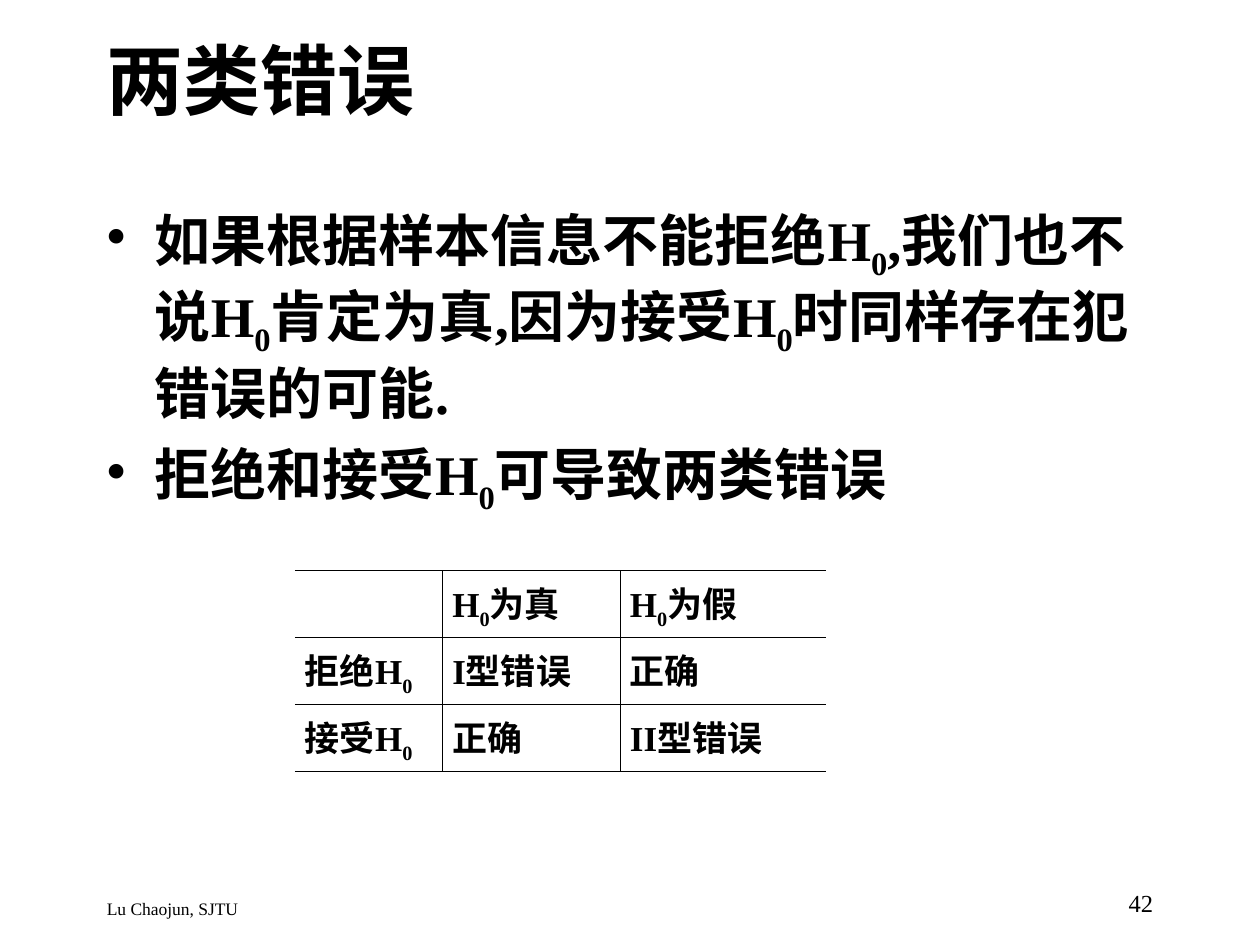
from lxml.etree import SubElement
from pptx import Presentation
from pptx.dml.color import RGBColor
from pptx.enum.text import MSO_ANCHOR as Anchor, PP_ALIGN as Align
from pptx.oxml.ns import qn
from pptx.util import Inches, Pt

BLACK = RGBColor(0, 0, 0)
WHITE = RGBColor(255, 255, 255)
FONT = "Times New Roman"


def add_run(para, text, size, bold, sub=False):
    run = para.add_run()
    run.text = text
    font = run.font
    font.name, font.size, font.bold = FONT, Pt(size), bold
    font.color.rgb = BLACK
    if sub:
        font._element.set("baseline", "-25000")


def write(para, text, size=32, bold=True, align=Align.LEFT):
    para.alignment = align
    head, *rest = text.split("_")
    if head:
        add_run(para, head, size, bold)
    for part in rest:
        add_run(para, part[0], size, bold, sub=True)
        if part[1:]:
            add_run(para, part[1:], size, bold)


def add_frame(slide, box, anchor=Anchor.TOP):
    frame = slide.shapes.add_textbox(*map(Inches, box)).text_frame
    frame.word_wrap = True
    frame.vertical_anchor = anchor
    return frame


def add_label(slide, box, text, anchor=Anchor.TOP, **style):
    write(add_frame(slide, box, anchor).paragraphs[0], text, **style)


def add_bullet(para):
    para.space_before = Pt(8)
    props = para._p.get_or_add_pPr()
    props.set("marL", str(Inches(0.38)))
    props.set("indent", str(-Inches(0.38)))
    color = SubElement(props, qn("a:buClr"))
    SubElement(color, qn("a:srgbClr")).set("val", str(BLACK))
    SubElement(props, qn("a:buChar")).set("char", "•")


def add_body(slide, box, items):
    frame = add_frame(slide, box)
    for i, item in enumerate(items):
        para = frame.add_paragraph() if i else frame.paragraphs[0]
        write(para, item)
        add_bullet(para)


def set_edges(cell, shown):
    props = cell._tc.get_or_add_tcPr()
    for i, side in enumerate("LRTB"):
        line = SubElement(props, qn(f"a:ln{side}"))
        if side in shown:
            line.set("w", str(Pt(0.45)))
            fill = SubElement(line, qn("a:solidFill"))
            SubElement(fill, qn("a:srgbClr")).set("val", str(BLACK))
        else:
            line.set("w", "0")
            SubElement(line, qn("a:noFill"))
        props.insert(i, line)


def add_grid(slide, box, widths, rows):
    shape = slide.shapes.add_table(len(rows), len(widths), *map(Inches, box))
    table = shape.table
    table.first_row = table.horz_banding = False
    for col, width in zip(table.columns, widths):
        col.width = Inches(width)
    last = len(widths) - 1
    for r, texts in enumerate(rows):
        for c, text in enumerate(texts):
            cell = table.cell(r, c)
            cell.fill.background()
            cell.margin_left = cell.margin_right = Inches(0.08)
            write(cell.text_frame.paragraphs[0], text, size=20, align=Align.JUSTIFY)
            set_edges(cell, "TB" + "L" * (c > 0) + "R" * (c < last))


def add_footer(slide, box, name, page):
    left, top, width, height = box
    add_label(slide, (left, top + 0.08, 5.8, 0.25), name, size=10, bold=False)
    add_label(slide, (left + width - 2.08, top, 2.08, height), page,
              size=14, bold=False, align=Align.RIGHT)


def main():
    deck = Presentation()
    deck.slide_width, deck.slide_height = Inches(10), Inches(7.5)
    slide = deck.slides.add_slide(deck.slide_layouts[6])
    slide.background.fill.solid()
    slide.background.fill.fore_color.rgb = WHITE
    add_label(slide, (0.75, 0, 8.5, 1.25), "两类错误", Anchor.MIDDLE, size=44)
    add_body(slide, (0.75, 1.58, 8.5, 5.08), [
        "如果根据样本信息不能拒绝H_0,我们也不说H_0肯定为真,因为接受H_0时同样存在犯错误的可能.",
        "拒绝和接受H_0可导致两类错误",
    ])
    add_grid(slide, (2.34, 4.53, 4.22, 1.59), (1.17, 1.41, 1.64), [
        ("", "H_0为真", "H_0为假"),
        ("拒绝H_0", "I型错误", "正确"),
        ("接受H_0", "正确", "II型错误"),
    ])
    add_footer(slide, (0.75, 7, 8.5, 0.33), "Lu Chaojun, SJTU", "42")
    deck.save("out.pptx")


if __name__ == "__main__":
    main()
